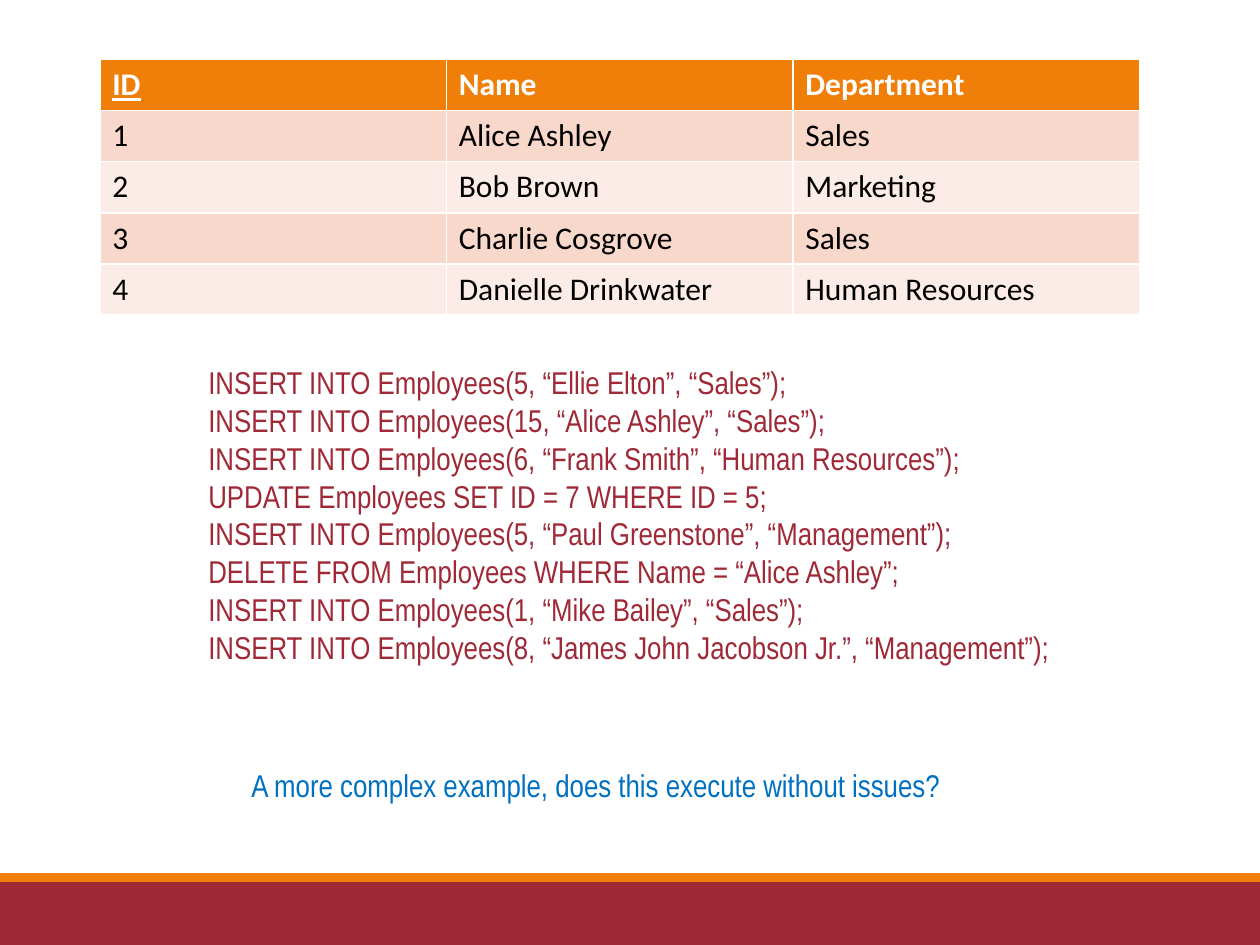
"""Build a slide with an employee table, SQL statements and a question."""
from pptx import Presentation
from pptx.dml.color import RGBColor
from pptx.enum import shapes, text
from pptx.util import Pt

WHITE = RGBColor(0xFF, 0xFF, 0xFF)
BLACK = RGBColor(0x00, 0x00, 0x00)
CRIMSON = RGBColor(0x9F, 0x29, 0x36)
ORANGE = RGBColor(0xF0, 0x7F, 0x09)
BLUE = RGBColor(0x00, 0x70, 0xC0)
DARK_BAND = RGBColor(0xF9, 0xD8, 0xCC)
LIGHT_BAND = RGBColor(0xFC, 0xEC, 0xE7)


def write(frame, lines, *, font, color, size=18, bold=False, underline=False):
    for index, line in enumerate(lines):
        para = frame.paragraphs[0] if index == 0 else frame.add_paragraph()
        span = para.add_run()
        span.text = line
        span.font.name = font
        span.font.size = Pt(size)
        span.font.bold = bold
        span.font.underline = underline
        span.font.color.rgb = color


deck = Presentation()
deck.slide_width, deck.slide_height = Pt(720), Pt(540)
page = deck.slides.add_slide(deck.slide_layouts[6])

for top, height, color in [(504, 36, CRIMSON), (499, 5, ORANGE)]:
    band = page.shapes.add_shape(
        shapes.MSO_SHAPE.RECTANGLE, Pt(0), Pt(top), Pt(720), Pt(height))
    band.shadow.inherit = False
    band.fill.solid()
    band.fill.fore_color.rgb = color
    band.line.fill.background()

employees = [
    ("ID", "Name", "Department"),
    ("1", "Alice Ashley", "Sales"),
    ("2", "Bob Brown", "Marketing"),
    ("3", "Charlie Cosgrove", "Sales"),
    ("4", "Danielle Drinkwater", "Human Resources"),
]
table = page.shapes.add_table(
    len(employees), 3, Pt(57), Pt(34), Pt(594), Pt(146)).table
for row, record in enumerate(employees):
    header = row == 0
    for column, value in enumerate(record):
        cell = table.cell(row, column)
        cell.fill.solid()
        cell.fill.fore_color.rgb = (
            ORANGE if header else DARK_BAND if row % 2 else LIGHT_BAND)
        write(cell.text_frame, [value], font="Calibri",
              color=WHITE if header else BLACK,
              bold=header, underline=header and column == 0)

statements = [
    "INSERT INTO Employees(5, “Ellie Elton”, “Sales”);",
    "INSERT INTO Employees(15, “Alice Ashley”, “Sales”);",
    "INSERT INTO Employees(6, “Frank Smith”, “Human Resources”);",
    "UPDATE Employees SET ID = 7 WHERE ID = 5;",
    "INSERT INTO Employees(5, “Paul Greenstone”, “Management”);",
    "DELETE FROM Employees WHERE Name = “Alice Ashley”;",
    "INSERT INTO Employees(1, “Mike Bailey”, “Sales”);",
    "INSERT INTO Employees(8, “James John Jacobson Jr.”, “Management”);",
]
question = ["A more complex example, does this execute without issues?"]
for left, top, width, height, lines, color in [
    (112, 204, 531.5, 181.5, statements, CRIMSON),
    (136.5, 434, 447, 29, question, BLUE),
]:
    box = page.shapes.add_textbox(Pt(left), Pt(top), Pt(width), Pt(height))
    box.text_frame.word_wrap = True
    box.text_frame.auto_size = text.MSO_AUTO_SIZE.SHAPE_TO_FIT_TEXT
    write(box.text_frame, lines, font="Arial Narrow", color=color)

deck.save("out.pptx")
